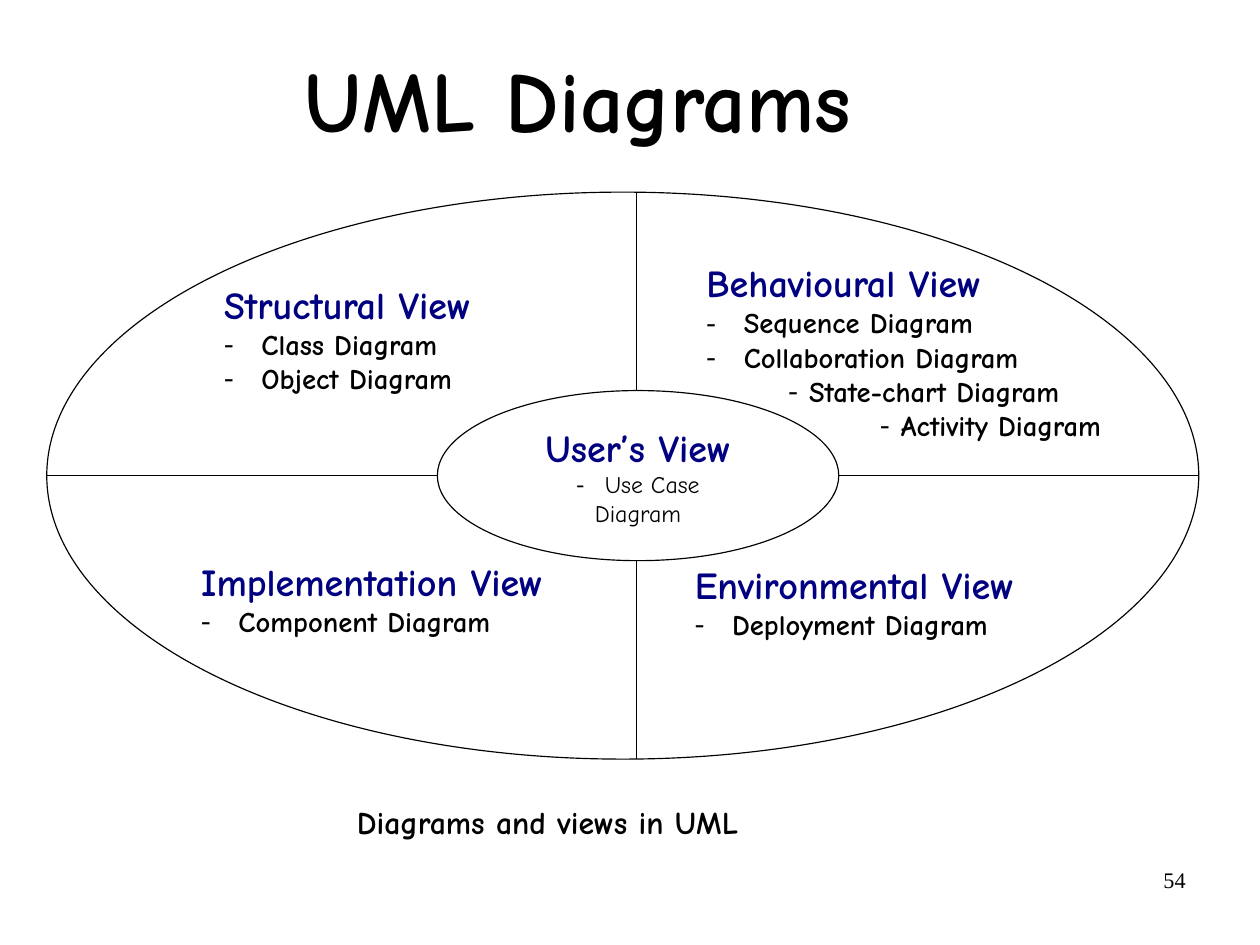
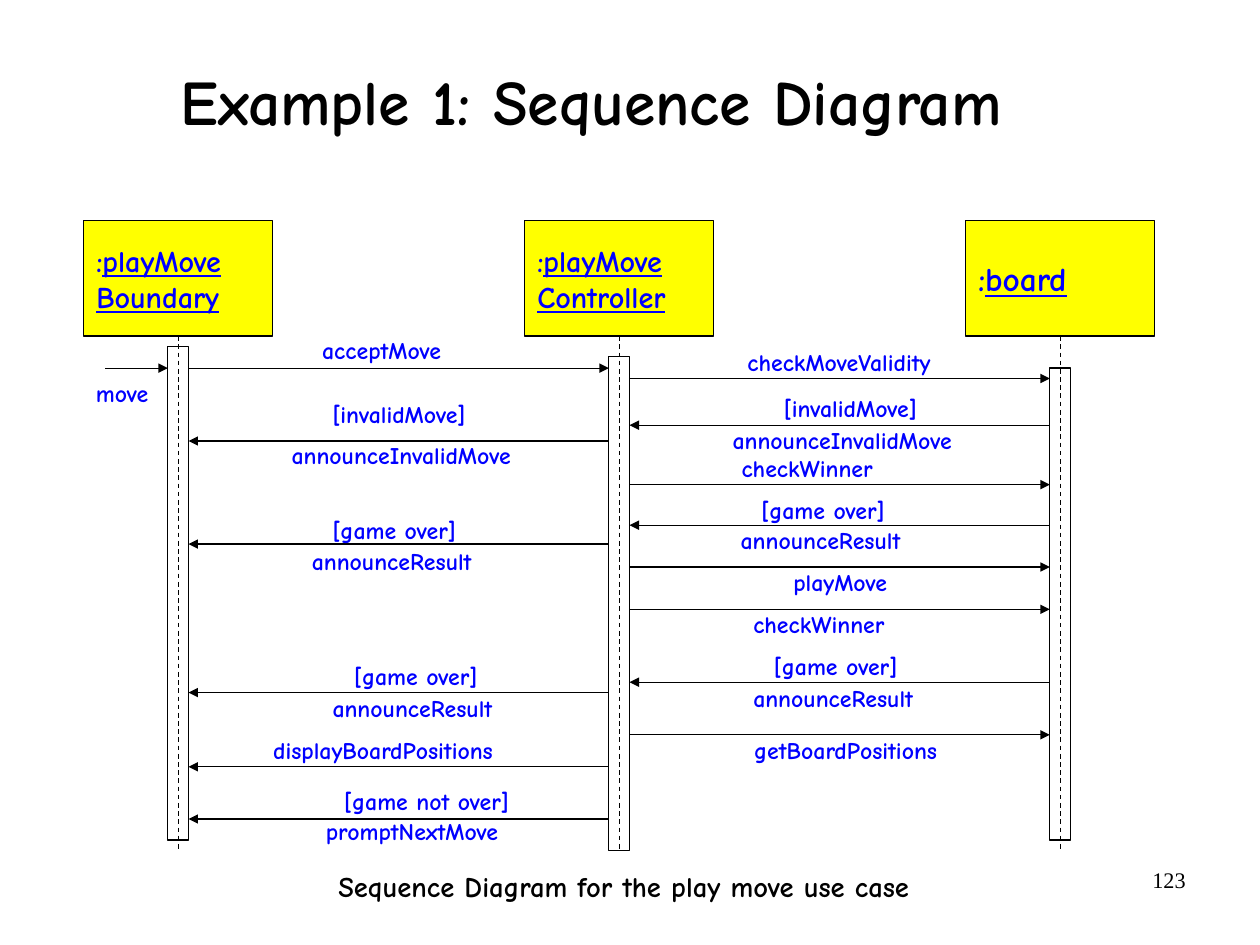
from dataclasses import dataclass

from lxml import etree
from pptx import Presentation
from pptx.dml.color import RGBColor
from pptx.enum.dml import MSO_LINE
from pptx.enum.shapes import MSO_CONNECTOR, MSO_SHAPE
from pptx.enum.text import MSO_ANCHOR, MSO_AUTO_SIZE, PP_ALIGN
from pptx.oxml.ns import qn
from pptx.util import Cm, Pt

STRAIGHT, DASH = MSO_CONNECTOR.STRAIGHT, MSO_LINE.DASH
RECTANGLE, OVAL = MSO_SHAPE.RECTANGLE, MSO_SHAPE.OVAL
LEFT, CENTER, RIGHT = PP_ALIGN.LEFT, PP_ALIGN.CENTER, PP_ALIGN.RIGHT
TOP, MIDDLE = MSO_ANCHOR.TOP, MSO_ANCHOR.MIDDLE


@dataclass(frozen=True)
class Theme:
    font: str = "Comic Neue"
    number_font: str = "Times New Roman"
    black: str = "000000"
    white: str = "FFFFFF"
    navy: str = "000080"
    blue: str = "0000FF"
    yellow: str = "FFFF00"
    line: float = 0.75
    heading: int = 24
    item: int = 18
    small_item: int = 15
    message: int = 15
    number: int = 14


THEME = Theme()

# Views slide: lengths in cm; an item is text, text indent, bullet hang
OUTER = (1.04, 4.27, 25.6, 12.6)
INNER = (9.72, 8.68, 8.92, 3.78)
AXIS_X, AXIS_Y = 14.15, 10.57
VIEWS = [
    ("Structural View", (4.98, 6.25, 5.51, 2.54),
     [("Class Diagram", 0.83, 0.83), ("Object Diagram", 0.83, 0.83)]),
    ("Implementation View", (4.47, 12.4, 7.62, 1.78),
     [("Component Diagram", 0.83, 0.83)]),
    ("Environmental View", (15.44, 12.47, 7.14, 1.78),
     [("Deployment Diagram", 0.83, 0.83)]),
    ("Behavioural View", (15.7, 5.77, 8.79, 4.06),
     [("Sequence Diagram", 0.83, 0.83), ("Collaboration Diagram", 0.83, 0.83),
      ("State-chart Diagram", 2.28, 0.46), ("Activity Diagram", 4.32, 0.46)]),
]
USER_VIEW = ("User’s View", [("Use Case", 0.63, 0.63), ("Diagram", 0, 0)])

# Sequence slide: objects are name lines, type size, bar top, bar bottom
OBJECTS = [
    (["playMove", "Boundary"], 19, 7.7, 18.67),
    (["playMove", "Controller"], 19, 7.92, 18.9),
    (["board"], 21, 8.18, 18.67),
]
HEAD_LEFT, HEAD_TOP, HEAD_WIDTH, HEAD_HEIGHT = 1.86, 4.9, 4.2, 2.57
PITCH, BAR_WIDTH, LIFELINE_END = 9.8, 0.46, 18.9
OUTSIDE, BOUNDARY, CONTROLLER, BOARD = -1, 0, 1, 2
OUTSIDE_X = 2.34

# Messages: sender, receiver, height of arrow, labels (text, left, top)
MESSAGES = [
    (OUTSIDE, BOUNDARY, 8.18, [("move", 2.13, 8.41)]),
    (BOUNDARY, CONTROLLER, 8.18, [("acceptMove", 7.16, 7.47)]),
    (CONTROLLER, BOARD, 8.41, [("checkMoveValidity", 16.61, 7.72)]),
    (BOARD, CONTROLLER, 9.45,
     [("[invalidMove]", 17.42, 8.74), ("announceInvalidMove", 16.28, 9.45)]),
    (CONTROLLER, BOUNDARY, 9.8,
     [("[invalidMove]", 7.39, 8.89), ("announceInvalidMove", 6.48, 9.8)]),
    (CONTROLLER, BOARD, 10.77, [("checkWinner", 16.48, 10.08)]),
    (BOARD, CONTROLLER, 11.67,
     [("[game over]", 16.92, 11.02), ("announceResult", 16.46, 11.68)]),
    (CONTROLLER, BOUNDARY, 12.09,
     [("[game over]", 7.39, 11.46), ("announceResult", 6.93, 12.14)]),
    (CONTROLLER, BOARD, 12.6, [("playMove", 17.63, 12.62)]),
    (CONTROLLER, BOARD, 13.54, [("checkWinner", 16.74, 13.54)]),
    (BOARD, CONTROLLER, 15.16,
     [("[game over]", 17.2, 14.48), ("announceResult", 16.74, 15.19)]),
    (CONTROLLER, BOUNDARY, 15.39,
     [("[game over]", 7.87, 14.71), ("announceResult", 7.39, 15.42)]),
    (CONTROLLER, BOARD, 16.33, [("getBoardPositions", 16.76, 16.36)]),
    (CONTROLLER, BOUNDARY, 17.04, [("displayBoardPositions", 6.07, 16.36)]),
    (CONTROLLER, BOUNDARY, 18.2,
     [("[game not over]", 7.65, 17.48), ("promptNextMove", 7.24, 18.16)]),
]
LABEL_HEIGHT = 0.64
LABEL_WIDTHS = {
    "move": 1.19, "acceptMove": 2.67, "checkMoveValidity": 4.11,
    "[invalidMove]": 2.97, "announceInvalidMove": 4.9, "checkWinner": 2.92,
    "[game over]": 2.77, "announceResult": 3.56, "playMove": 2.11,
    "getBoardPositions": 4.09, "displayBoardPositions": 4.9,
    "[game not over]": 3.68, "promptNextMove": 3.86,
}


# Shared helpers
def lengths(values):
    return [Cm(value) for value in values]


def set_font(font, size, color=THEME.black, bold=True, name=THEME.font):
    font.name, font.size, font.bold = name, Pt(size), bold
    font.color.rgb = RGBColor.from_string(color)


def set_frame(frame, inset_x=0, inset_y=0, anchor=TOP, wrap=False):
    frame.auto_size = MSO_AUTO_SIZE.NONE
    frame.margin_left = frame.margin_right = Cm(inset_x)
    frame.margin_top = frame.margin_bottom = Cm(inset_y)
    frame.vertical_anchor, frame.word_wrap = anchor, wrap


def add_text(page, area, text, size, color=THEME.black):
    box = page.shapes.add_textbox(*lengths(area))
    set_frame(box.text_frame)
    box.text_frame.text = text
    set_font(box.text_frame.paragraphs[0].runs[0].font, size, color)
    return box


def add_outline(page, kind, area, fill=None):
    shape = page.shapes.add_shape(kind, *lengths(area))
    shape.shadow.inherit = False
    if fill:
        shape.fill.solid()
        shape.fill.fore_color.rgb = RGBColor.from_string(fill)
    else:
        shape.fill.background()
    shape.line.color.rgb = RGBColor.from_string(THEME.black)
    shape.line.width = Pt(THEME.line)
    return shape


def add_line(page, ends, arrow=False, dashed=False):
    line = page.shapes.add_connector(STRAIGHT, *lengths(ends))
    line.line.color.rgb = RGBColor.from_string(THEME.black)
    line.line.width = Pt(THEME.line)
    if dashed:
        line.line.dash_style = DASH
    properties = line.line._get_or_add_ln()
    if arrow:
        etree.SubElement(properties, qn("a:tailEnd"), type="triangle")
    etree.SubElement(line._element.spPr, qn("a:effectLst"))
    return line


def add_bullet(para, indent, hang):
    properties = para._p.get_or_add_pPr()
    properties.set("marL", str(Cm(indent)))
    properties.set("indent", str(-Cm(hang)))
    color = etree.SubElement(properties, qn("a:buClr"))
    etree.SubElement(color, qn("a:srgbClr"), val=THEME.black)
    etree.SubElement(properties, qn("a:buFont"), typeface=THEME.number_font)
    etree.SubElement(properties, qn("a:buChar"), char="-")


def write_view(frame, heading, items, size, bold, align):
    frame.text = heading
    frame.paragraphs[0].alignment = align
    set_font(frame.paragraphs[0].runs[0].font, THEME.heading, THEME.navy)
    for text, indent, hang in items:
        para = frame.add_paragraph()
        para.text, para.alignment = text, align
        if hang:
            add_bullet(para, indent, hang)
        set_font(para.runs[0].font, size, bold=bold)


def start_page(deck, title, size, number, area):
    page = deck.slides.add_slide(deck.slide_layouts[5])
    heading = page.shapes.title
    heading.left, heading.top, heading.width, heading.height = lengths(area)
    set_frame(heading.text_frame, 0.05, 0.15, MIDDLE, True)
    heading.text_frame.text = title
    para = heading.text_frame.paragraphs[0]
    para.alignment, para.line_spacing = CENTER, 0.94
    set_font(para.runs[0].font, size)

    footer = add_text(page, (20.07, 19.13, 6.53, 1.45), number, THEME.number)
    set_frame(footer.text_frame, 0.25, 0.13, wrap=True)
    para = footer.text_frame.paragraphs[0]
    para.alignment = RIGHT
    set_font(para.runs[0].font, THEME.number, bold=False, name=THEME.number_font)
    return page


# Slides
def build_views(deck):
    page = start_page(deck, "UML Diagrams", 54, "54", (0.94, 0.56, 23.8, 3.48))
    add_outline(page, OVAL, OUTER)
    left, top, width, height = OUTER
    inner_left, inner_top, inner_width, inner_height = INNER
    for ends in [
        (AXIS_X, inner_top + inner_height, AXIS_X, top + height),
        (AXIS_X, inner_top, AXIS_X, top),
        (inner_left, AXIS_Y, left, AXIS_Y),
        (inner_left + inner_width, AXIS_Y, left + width, AXIS_Y),
    ]:
        add_line(page, ends)

    center = add_outline(page, OVAL, INNER, THEME.white)
    set_frame(center.text_frame, 0.28, 0.15, MIDDLE)
    write_view(center.text_frame, *USER_VIEW, THEME.small_item, False, CENTER)
    for heading, area, items in VIEWS:
        box = page.shapes.add_textbox(*lengths(area))
        set_frame(box.text_frame)
        write_view(box.text_frame, heading, items, THEME.item, True, LEFT)
    add_text(page, (7.93, 17.83, 8.51, 0.82), "Diagrams and views in UML", 20)


def add_object(page, index, names, size, bar_top, bar_bottom):
    left = HEAD_LEFT + index * PITCH
    middle = left + HEAD_WIDTH / 2
    head = add_outline(page, RECTANGLE, (left, HEAD_TOP, HEAD_WIDTH, HEAD_HEIGHT),
                       THEME.yellow)
    frame = head.text_frame
    set_frame(frame, 0.28, 0.15, MIDDLE)
    frame.paragraphs[0].add_run().text = ":"
    for row, name in enumerate(names):
        para = frame.add_paragraph() if row else frame.paragraphs[0]
        span = para.add_run()
        span.text, span.font.underline = name, True
        para.alignment = LEFT
        for span in para.runs:
            set_font(span.font, size, THEME.blue)

    lifeline = add_line(page, (middle, HEAD_TOP + HEAD_HEIGHT, middle, LIFELINE_END),
                        dashed=True)
    lifeline.begin_connect(head, 2)
    add_outline(page, RECTANGLE, (middle - BAR_WIDTH / 2, bar_top, BAR_WIDTH,
                                  bar_bottom - bar_top))


def bar_edge(index, toward):
    if index == OUTSIDE:
        return OUTSIDE_X
    middle = HEAD_LEFT + HEAD_WIDTH / 2 + index * PITCH
    return middle + (BAR_WIDTH if toward > index else -BAR_WIDTH) / 2


def build_sequence(deck):
    page = start_page(deck, "Example 1: Sequence Diagram", 40, "123",
                      (1.24, 0.51, 23.8, 3.6))
    for index, item in enumerate(OBJECTS):
        add_object(page, index, *item)
    for sender, receiver, height, labels in MESSAGES:
        add_line(page, (bar_edge(sender, receiver), height,
                        bar_edge(receiver, sender), height), arrow=True)
        for text, left, top in labels:
            add_text(page, (left, top, LABEL_WIDTHS[text], LABEL_HEIGHT), text,
                     THEME.message, THEME.blue)
    add_text(page, (7.52, 19.3, 12.73, 0.76),
             "Sequence Diagram for the play move use case", 18)


def main():
    deck = Presentation()
    deck.slide_width, deck.slide_height = Cm(28), Cm(21)
    build_views(deck)
    build_sequence(deck)
    deck.save("out.pptx")


if __name__ == "__main__":
    main()
